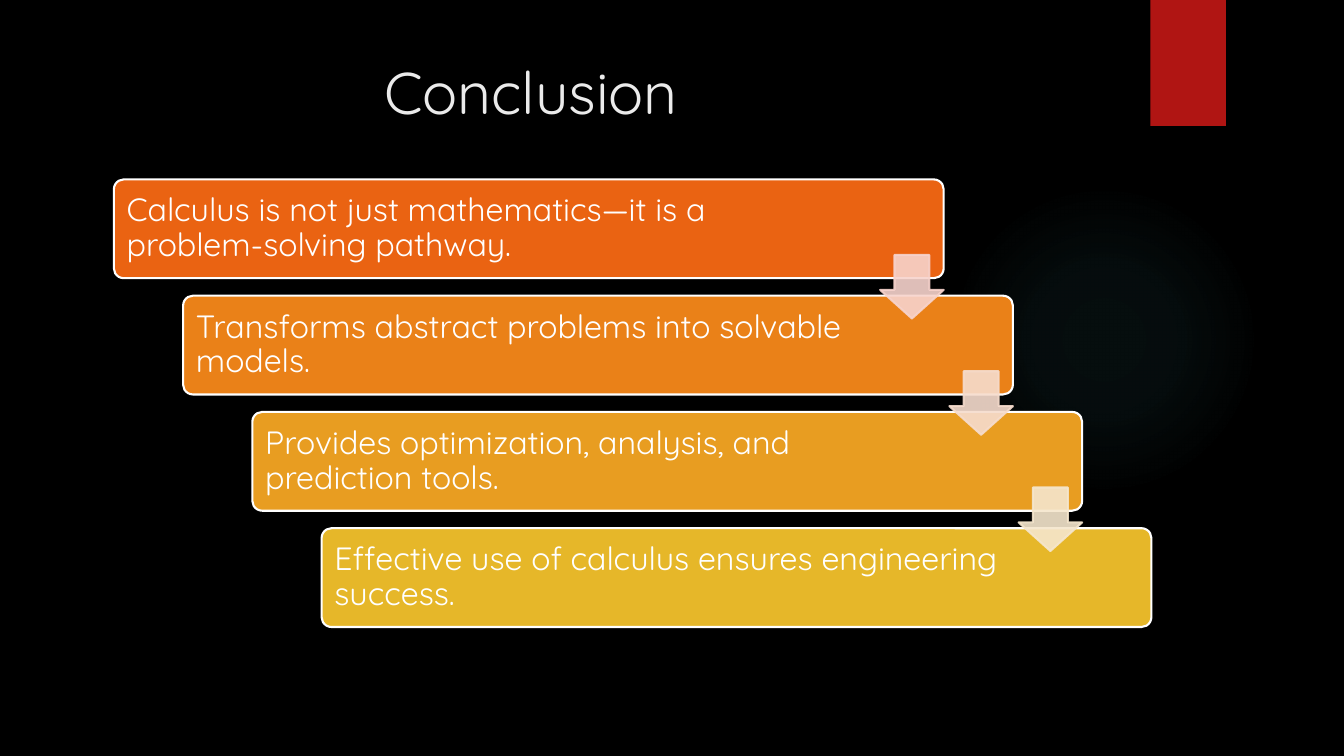
from dataclasses import dataclass
from typing import Optional

import pptx
import pptx.dml.color
import pptx.enum.shapes
import pptx.enum.text
import pptx.oxml
import pptx.oxml.ns
import pptx.util
from pptx.util import Inches

FONT = "Quicksand"
COLORS = {
    "background": "000000",
    "title": "EBEBEB",
    "white": "FFFFFF",
    "ribbon": "B01513",
    "glow": "50B9C1",
}
GLOW_STOPS = ((0, 7), (36, 6), (69, 0))  # position and opacity, in percent

BAR_LEFT, BAR_TOP = 1.13, 1.78
BAR_WIDTH, BAR_HEIGHT = 8.23, 0.98
STEP_X, STEP_Y = 2.06 / 3, 3.46 / 3
ARROW_SIZE = 0.63
ARROW_DX, ARROW_DY = 7.6, 0.75


@dataclass
class Step:
    text: str
    fill: str
    arrow: Optional[str] = None


STEPS = [
    Step("Calculus is not just mathematics—it is a problem-solving pathway.",
         "EA6312", "F7D3CC"),
    Step("Transforms abstract problems into solvable models.", "EA8118", "F6DCCD"),
    Step("Provides optimization, analysis, and prediction tools.", "E89D21", "F5E6CD"),
    Step("Effective use of calculus ensures engineering success.", "E6B729"),
]


def rgb(value: str) -> pptx.dml.color.RGBColor:
    return pptx.dml.color.RGBColor.from_string(value)


def add_filled_shape(slide, kind, left: float, top: float, width: float,
                     height: float, fill: str, line: Optional[str] = None):
    shape = slide.shapes.add_shape(
        kind, Inches(left), Inches(top), Inches(width), Inches(height))
    shape.shadow.inherit = False
    shape.fill.solid()
    shape.fill.fore_color.rgb = rgb(fill)
    if line:
        shape.line.color.rgb = rgb(line)
        shape.line.width = pptx.util.Pt(1.5)
    else:
        shape.line.fill.background()
    return shape


def style_text(paragraph, size: float, color: str) -> None:
    paragraph.alignment = pptx.enum.text.PP_ALIGN.LEFT
    paragraph.font.name = FONT
    paragraph.font.size = pptx.util.Pt(size)
    paragraph.font.color.rgb = rgb(color)


def add_glow(slide) -> None:
    glow = add_filled_shape(slide, pptx.enum.shapes.MSO_SHAPE.OVAL,
                            9.41, 1.83, 3.08, 3.08, COLORS["glow"])
    stops = "".join(
        f'<a:gs pos="{position * 1000}"><a:srgbClr val="{COLORS["glow"]}">'
        f'<a:alpha val="{opacity * 1000}"/></a:srgbClr></a:gs>'
        for position, opacity in GLOW_STOPS)
    gradient = pptx.oxml.parse_xml(
        f'<a:gradFill {pptx.oxml.ns.nsdecls("a")} rotWithShape="1">'
        f'<a:gsLst>{stops}</a:gsLst><a:path path="circle">'
        '<a:fillToRect l="50000" t="50000" r="50000" b="50000"/></a:path></a:gradFill>')
    properties = glow._element.spPr
    properties.replace(properties.find(pptx.oxml.ns.qn("a:solidFill")), gradient)


def add_title(slide) -> None:
    title = slide.shapes.title
    title.left, title.top = Inches(0.71), Inches(0.5)
    title.width, title.height = Inches(10.29), Inches(1.53)
    frame = title.text_frame
    frame.text = "Conclusion"
    frame.vertical_anchor = pptx.enum.text.MSO_ANCHOR.TOP
    frame.margin_left = Inches(3.1)
    style_text(frame.paragraphs[0], 42, COLORS["title"])


def add_bar(slide, index: int, step: Step) -> None:
    bar = add_filled_shape(
        slide, pptx.enum.shapes.MSO_SHAPE.ROUNDED_RECTANGLE,
        BAR_LEFT + index * STEP_X, BAR_TOP + index * STEP_Y,
        BAR_WIDTH, BAR_HEIGHT, step.fill, COLORS["white"])
    bar.adjustments[0] = 0.1
    frame = bar.text_frame
    frame.text = step.text
    frame.word_wrap = True
    frame.vertical_anchor = pptx.enum.text.MSO_ANCHOR.MIDDLE
    frame.margin_left = frame.margin_top = frame.margin_bottom = Inches(0.1)
    frame.margin_right = Inches(1.42)
    frame.paragraphs[0].line_spacing = 0.9
    style_text(frame.paragraphs[0], 23, COLORS["white"])


def add_arrow(slide, index: int, color: str) -> None:
    arrow = add_filled_shape(
        slide, pptx.enum.shapes.MSO_SHAPE.DOWN_ARROW,
        BAR_LEFT + ARROW_DX + index * STEP_X, BAR_TOP + ARROW_DY + index * STEP_Y,
        ARROW_SIZE, ARROW_SIZE, color, color)
    arrow.adjustments[0] = 0.55
    arrow.adjustments[1] = 0.45
    for paint in arrow._element.spPr.iter(pptx.oxml.ns.qn("a:srgbClr")):
        paint.append(pptx.oxml.parse_xml(
            f'<a:alpha {pptx.oxml.ns.nsdecls("a")} val="90000"/>'))


def main() -> None:
    deck = pptx.Presentation()
    deck.slide_width, deck.slide_height = Inches(13.33), Inches(7.5)
    slide = deck.slides.add_slide(deck.slide_layouts.get_by_name("Title Only"))
    slide.background.fill.solid()
    slide.background.fill.fore_color.rgb = rgb(COLORS["background"])

    add_glow(slide)
    add_filled_shape(slide, pptx.enum.shapes.MSO_SHAPE.RECTANGLE,
                     11.41, 0, 0.75, 1.25, COLORS["ribbon"])
    add_title(slide)
    for index, step in enumerate(STEPS):
        add_bar(slide, index, step)
    for index, step in enumerate(STEPS):
        if step.arrow:
            add_arrow(slide, index, step.arrow)
    deck.save("out.pptx")


if __name__ == "__main__":
    main()
